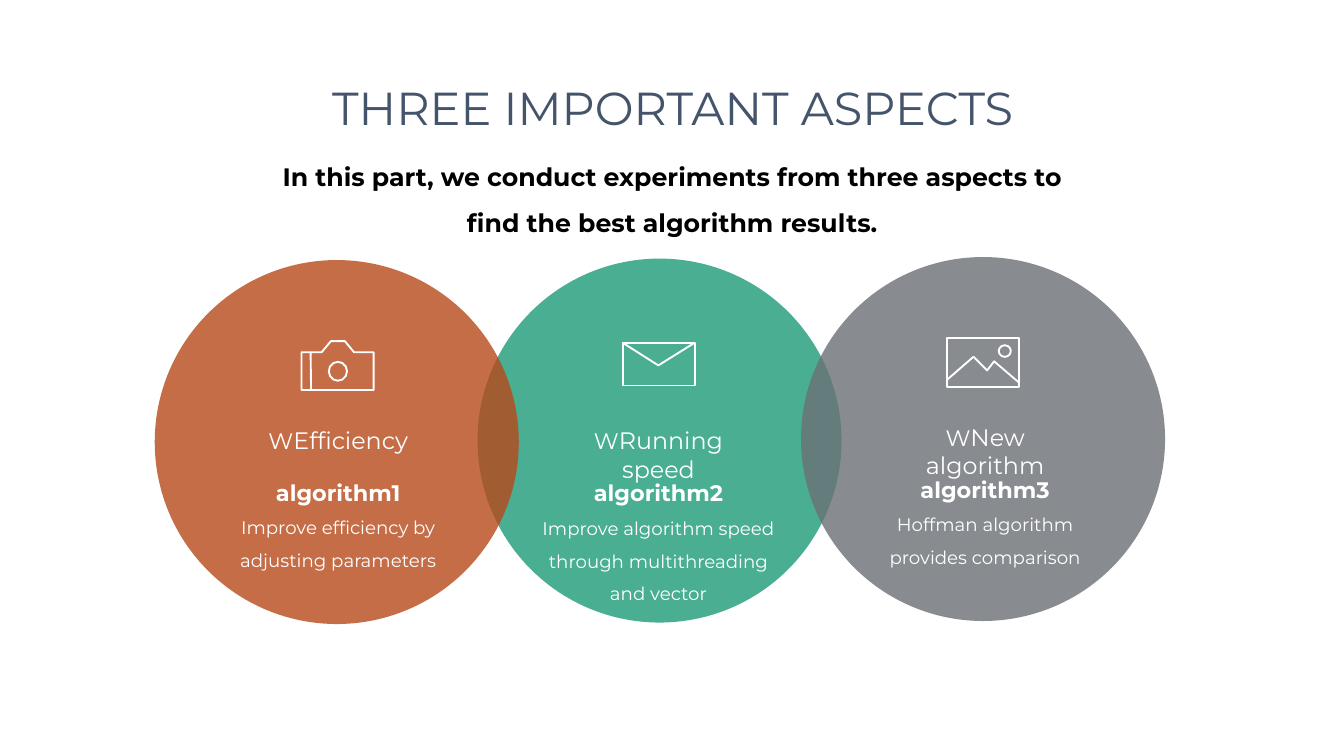
from lxml import etree
from pptx import Presentation
from pptx import util as u
from pptx.dml.color import RGBColor
from pptx.enum import shapes as kinds, text as txt
from pptx.oxml.ns import qn

# Content
TITLE = "THREE IMPORTANT ASPECTS"
INTRO = ("In this part, we conduct experiments from three aspects to find "
         "the best algorithm results.")

# Icon strokes in points, relative to the icon's top left corner
CAMERA = [
    ("closed", [(75, 15.8), (62, 0), (42, 0), (28.8, 15.8), (0, 15.8),
                (0, 69.8), (103, 69.8), (103, 15.8)]),
    ("oval", (39, 29.5, 26, 27)),
    ("line", (13, 15.8, 13.7, 69.8)),
]
ENVELOPE = [
    ("box", (0, 0, 103, 61.2)),
    ("open", [(0, 0), (51.1, 32.4), (103, 0)]),
]
LANDSCAPE = [
    ("box", (0, 0, 103, 69.8)),
    ("open", [(0, 59.8), (38.2, 26.6), (57.6, 46.1), (67.7, 33.1), (103, 63.4)]),
    ("oval", (74.2, 10.1, 17.3, 16.6)),
]

# Listed from back to front; positions in points
ASPECTS = [
    {"heading": "Running speed", "name": "algorithm2",
     "detail": "Improve algorithm speed through multithreading and vector",
     "colour": "1D9A78", "circle": (682, 369.4), "text": (940.5, 604.8),
     "icon": ENVELOPE, "icon_at": (889.2, 489.6)},
    {"heading": "Efficiency", "name": "algorithm1",
     "detail": "Improve efficiency by adjusting parameters",
     "colour": "B74919", "circle": (221, 371.5), "text": (483, 604),
     "icon": CAMERA, "icon_at": (430.6, 487.4)},
    {"heading": "New algorithm", "name": "algorithm3",
     "detail": "Hoffman algorithm provides comparison",
     "colour": "6B7075", "circle": (1144, 367.2), "text": (1407, 599.8),
     "icon": LANDSCAPE, "icon_at": (1352.2, 483.1)},
]

THEME = {
    "font": "Montserrat", "title": "44546A", "ink": "000000", "light": "FFFFFF",
    "title_size": 66, "intro_size": 36, "heading_size": 34, "name_size": 32,
    "detail_size": 26, "stroke": 2.7, "opacity": 80,
}
CIRCLE = 520
HEADING_W, HEADING_H = 281, 46
BODY_W, BODY_H, BODY_DROP = 378, 111, 57.5

deck = Presentation()
deck.slide_width, deck.slide_height = u.Pt(1919.5), u.Pt(1080)
slide = deck.slides.add_slide(deck.slide_layouts[6])


def pts(*values):
    return [u.Pt(v) for v in values]


def add_text(frame_at, paragraphs, spacing=1.0):
    """Each paragraph is a list of (text, size, colour, bold) runs."""
    frame = slide.shapes.add_textbox(*pts(*frame_at)).text_frame
    frame.word_wrap = True
    for index, runs in enumerate(paragraphs):
        paragraph = frame.paragraphs[0] if index == 0 else frame.add_paragraph()
        paragraph.alignment = txt.PP_ALIGN.CENTER
        paragraph.line_spacing = spacing
        for words, size, colour, bold in runs:
            run = paragraph.add_run()
            run.text = words
            run.font.name = THEME["font"]
            run.font.size = u.Pt(size)
            run.font.bold = bold
            run.font.color.rgb = RGBColor.from_string(colour)


def add_circle(left, top, colour):
    circle = slide.shapes.add_shape(
        kinds.MSO_SHAPE.OVAL, *pts(left, top, CIRCLE, CIRCLE))
    circle.shadow.inherit = False
    circle.line.fill.background()
    circle.fill.solid()
    circle.fill.fore_color.rgb = RGBColor.from_string(colour)
    fill_colour = next(circle.fill._xPr.iter(qn("a:srgbClr")))
    etree.SubElement(fill_colour, qn("a:alpha"), val=str(THEME["opacity"] * 1000))


def add_stroke(kind, geometry, left, top):
    if kind == "line":
        x1, y1, x2, y2 = geometry
        stroke = slide.shapes.add_connector(
            kinds.MSO_CONNECTOR.STRAIGHT,
            *pts(left + x1, top + y1, left + x2, top + y2))
        etree.SubElement(stroke._element.spPr, qn("a:effectLst"))
    else:
        if kind in ("box", "oval"):
            x, y, width, height = geometry
            preset = (kinds.MSO_SHAPE.OVAL if kind == "oval"
                      else kinds.MSO_SHAPE.RECTANGLE)
            stroke = slide.shapes.add_shape(
                preset, *pts(left + x, top + y, width, height))
        else:
            corners = [pts(left + x, top + y) for x, y in geometry]
            outline = slide.shapes.build_freeform(*corners[0])
            outline.add_line_segments(corners[1:], close=kind == "closed")
            stroke = outline.convert_to_shape()
        stroke.fill.background()
        stroke.shadow.inherit = False
    stroke.line.color.rgb = RGBColor.from_string(THEME["light"])
    stroke.line.width = u.Pt(THEME["stroke"])


# Overlapping circles
for aspect in ASPECTS:
    add_circle(*aspect["circle"], aspect["colour"])

# Title and introduction
add_text((419, 109.5, 1083.5, 87),
         [[(TITLE, THEME["title_size"], THEME["title"], False)]])
add_text((383, 206, 1154, 73),
         [[(INTRO, THEME["intro_size"], THEME["ink"], True)]], spacing=1.5)

# Icon, heading and description of each aspect
light = THEME["light"]
for aspect in ASPECTS:
    for kind, geometry in aspect["icon"]:
        add_stroke(kind, geometry, *aspect["icon_at"])
    centre, top = aspect["text"]
    add_text((centre - BODY_W / 2, top + BODY_DROP, BODY_W, BODY_H),
             [[(aspect["name"], THEME["name_size"], light, True)],
              [(aspect["detail"], THEME["detail_size"], light, False)]],
             spacing=1.5)
    add_text((centre - HEADING_W / 2, top, HEADING_W, HEADING_H),
             [[("W", THEME["name_size"], light, False),
               (aspect["heading"], THEME["heading_size"], light, False)]])

deck.save("out.pptx")
